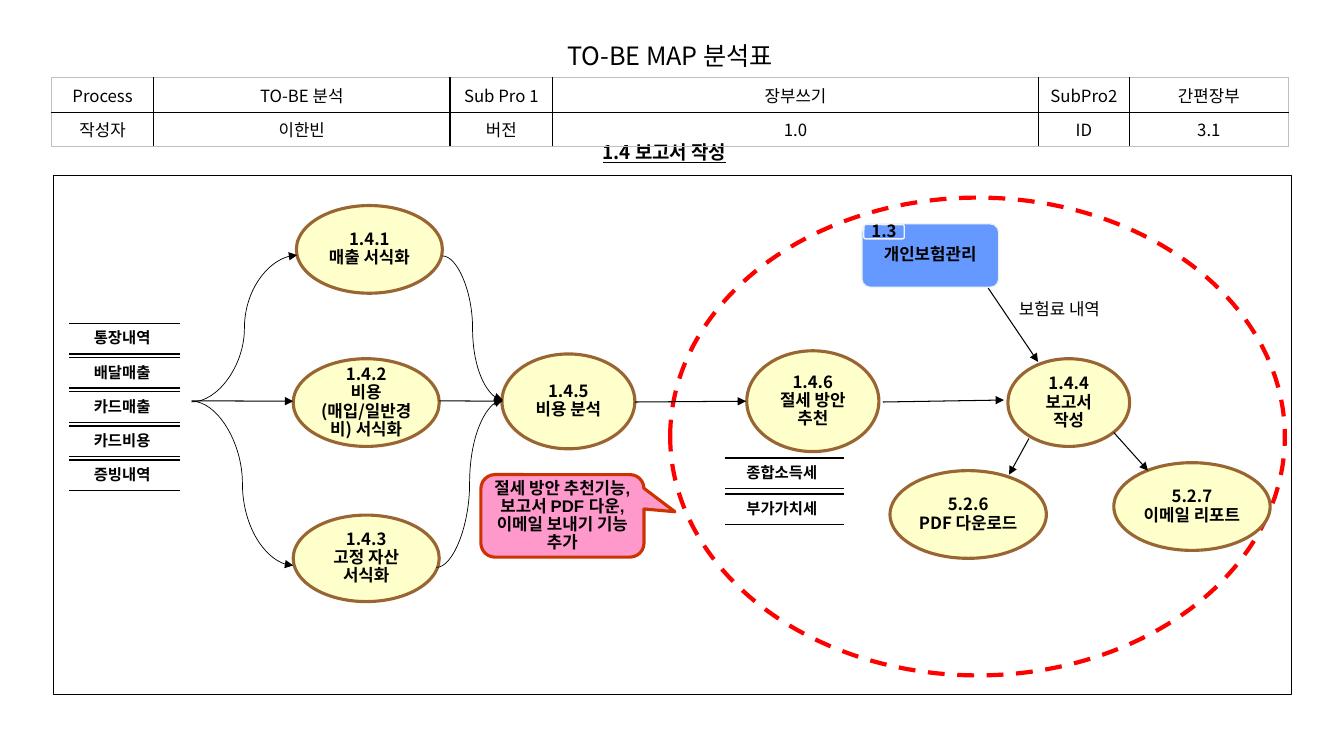
import dataclasses

import pptx
import pptx.dml.color
import pptx.enum.dml
import pptx.enum.shapes
import pptx.enum.text
import pptx.oxml.ns
import pptx.util
from lxml import etree

Cm, Pt = pptx.util.Cm, pptx.util.Pt
qn = pptx.oxml.ns.qn
rgb = pptx.dml.color.RGBColor.from_string
SHAPE = pptx.enum.shapes.MSO_SHAPE
LINK = pptx.enum.shapes.MSO_CONNECTOR
ALIGN = pptx.enum.text.PP_ALIGN
MIDDLE = pptx.enum.text.MSO_ANCHOR.MIDDLE
TOP = pptx.enum.text.MSO_ANCHOR.TOP


@dataclasses.dataclass(frozen=True)
class Theme:
    font: str = "Noto Sans CJK KR"
    callout_font: str = "Arial"
    black: str = "000000"
    white: str = "FFFFFF"
    grid_edge: str = "BFBFBF"
    step_fill: str = "FFFFCC"
    step_line: str = "996633"
    scope_line: str = "FF0000"
    callout_fill: str = "FF99CC"
    callout_line: str = "CC3300"
    module_fill: str = "6699FF"
    module_line: str = "F1F2F2"
    heading: float = 18
    title: float = 13.5
    body: float = 12
    store: float = 11


T = Theme()

INFO = [["Process", "TO-BE 분석", "Sub Pro 1", "장부쓰기", "SubPro2", "간편장부"],
        ["작성자", "이한빈", "버전", "1.0", "ID", "3.1"]]
INFO_WIDTHS = [2.57, 7.47, 2.59, 12.24, 2.29, 4.01]

STEPS = [("1.4.1\n매출 서식화", 7.47, 5.18, 3.68, 2.21),
         ("1.4.2\n비용(매입/일반경비) 서식화", 7.39, 9.04, 3.68, 2.21),
         ("1.4.3\n고정 자산 서식화", 7.39, 12.98, 3.68, 2.18),
         ("1.4.5\n비용 분석", 12.65, 8.92, 3.35, 2.39),
         ("1.4.6\n절세 방안 추천", 18.82, 8.84, 3.33, 2.54),
         ("1.4.4\n보고서\n작성", 25.4, 9.04, 3.07, 2.21),
         ("5.2.6\nPDF 다운로드", 22.43, 11.86, 3.94, 2.21),
         ("5.2.7\n이메일 리포트", 28.07, 11.66, 3.94, 2.21)]

STRAIGHT_FLOWS = [(4.83, 10.1, 7.39, 10.11), (11.07, 10.1, 12.67, 10.11),
                  (16, 10.13, 18.8, 10.11), (22.25, 10.13, 25.3, 10.08),
                  (25.93, 11.05, 25.43, 11.96), (28.07, 10.9, 28.93, 11.86),
                  (24.87, 7.21, 26.16, 9.12)]
CURVED_FLOWS = [(4.83, 10.11, 7.39, 14.25), (4.83, 10.13, 7.49, 6.43),
                (11.15, 6.45, 12.67, 10.08), (11, 14.3, 12.67, 10.08)]


def write(tf, text, size=T.body, bold=True, font=T.font, spacing=0.9,
          align=ALIGN.CENTER, underline=None):
    tf.text = text
    for p in tf.paragraphs:
        p.alignment = align
        p.line_spacing = spacing
        f = p.font
        f.size, f.bold, f.underline, f.name = Pt(size), bold, underline, font
        f.color.rgb = rgb(T.black)
        props = p._p.get_or_add_pPr().find(qn("a:defRPr"))
        etree.SubElement(props, qn("a:ea")).set("typeface", T.font)


def frame_text(tf, x=0, y=0, anchor=MIDDLE, wrap=True):
    tf.margin_left = tf.margin_right = Cm(x)
    tf.margin_top = tf.margin_bottom = Cm(y)
    tf.vertical_anchor, tf.word_wrap = anchor, wrap


def add_block(slide, kind, box, fill, line, width, text="", adj=(),
              margins=(0, 0), wrap=True, font=T.font):
    sp = slide.shapes.add_shape(kind, *map(Cm, box))
    sp.shadow.inherit = False
    if fill:
        sp.fill.solid()
        sp.fill.fore_color.rgb = rgb(fill)
    else:
        sp.fill.background()
    sp.line.color.rgb = rgb(line)
    sp.line.width = Pt(width)
    for i, value in enumerate(adj):
        sp.adjustments[i] = value
    if text:
        frame_text(sp.text_frame, *margins, wrap=wrap)
        write(sp.text_frame, text, font=font)
    return sp


def add_line(slide, ends, width, kind=LINK.STRAIGHT, arrow=False):
    cx = slide.shapes.add_connector(kind, *map(Cm, ends))
    cx.line.color.rgb = rgb(T.black)
    cx.line.width = Pt(width)
    if arrow:
        etree.SubElement(cx.line._ln, qn("a:tailEnd")).set("type", "triangle")
    etree.SubElement(cx._element.spPr, qn("a:effectLst"))


def add_label(slide, box, text, margins, **style):
    tb = slide.shapes.add_textbox(*map(Cm, box))
    frame_text(tb.text_frame, *margins, anchor=TOP)
    write(tb.text_frame, text, **style)


def add_stores(slide, left, top, width, pitch, names):
    """Data stores: a name between two rules."""
    for i, name in enumerate(names):
        y = top + i * pitch
        for rule in (y, y + 0.77):
            add_line(slide, (left, rule, left + width, rule), 1)
        add_label(slide, (left, y, width - 0.13, 0.84), name, (0.33, 0.18),
                  size=T.store)


def set_border(cell, side, color, width):
    ln = etree.SubElement(cell._tc.get_or_add_tcPr(), qn("a:ln" + side))
    ln.set("w", str(Pt(width)))
    fill = etree.SubElement(ln, qn("a:solidFill"))
    etree.SubElement(fill, qn("a:srgbClr")).set("val", color)


def add_grid(slide, left, top, widths, row_height, rows, size, edge, inner):
    n, m = len(rows), len(widths)
    tbl = slide.shapes.add_table(n, m, Cm(left), Cm(top), Cm(sum(widths)),
                                 Cm(n * row_height)).table
    tbl.first_row = tbl.horz_banding = False
    for col, width in zip(tbl.columns, widths):
        col.width = Cm(width)
    for i, row in enumerate(rows):
        tbl.rows[i].height = Cm(row_height)
        for j, text in enumerate(row):
            cell = tbl.cell(i, j)
            outer = {"L": j == 0, "R": j == m - 1, "T": i == 0, "B": i == n - 1}
            for side, is_edge in outer.items():
                set_border(cell, side, edge if is_edge else inner, 1)
            cell.fill.background()
            write(cell.text_frame, text, size, bold=False, spacing=1.0)


def add_title(slide, box, text):
    sp = slide.shapes.title
    sp.left, sp.top, sp.width, sp.height = map(Cm, box)
    frame_text(sp.text_frame, 0.3, 0.15, wrap=False)
    write(sp.text_frame, text, T.title, spacing=1.0, underline=True)


def main():
    prs = pptx.Presentation()
    prs.slide_width, prs.slide_height = Cm(33.87), Cm(19.05)
    slide = prs.slides.add_slide(prs.slide_layouts[5])

    # Headings and document details
    add_title(slide, (4.04, 3.45, 25.4, 0.76), "1.4 보고서 작성")
    add_grid(slide, 7.72, 0.79, [18.34], 1.02, [["TO-BE MAP 분석표"]],
             T.heading, T.white, T.white)
    add_grid(slide, 1.3, 1.96, INFO_WIDTHS, 0.87, INFO,
             T.body, T.grid_edge, T.black)

    # Diagram frame and highlighted scope
    add_block(slide, SHAPE.RECTANGLE, (1.35, 4.42, 31.19, 13.08),
              None, T.black, 0.75)
    scope = add_block(slide, SHAPE.OVAL, (16.89, 4.98, 15.49, 12.04),
                      None, T.scope_line, 3)
    scope.line.dash_style = pptx.enum.dml.MSO_LINE.DASH

    # Process steps
    for text, *box in STEPS:
        add_block(slide, SHAPE.OVAL, box, T.step_fill, T.step_line, 2.25, text)

    # Data stores
    add_stores(slide, 1.75, 8.15, 2.79, 0.86,
               ["통장내역", "배달매출", "카드매출", "카드비용", "증빙내역"])
    add_stores(slide, 18.27, 11.54, 3, 0.91, ["종합소득세", "부가가치세"])

    # Flows
    for ends in STRAIGHT_FLOWS:
        add_line(slide, ends, 0.75, arrow=True)
    for ends in CURVED_FLOWS:
        add_line(slide, ends, 0.5, LINK.CURVE, arrow=True)

    # Callout, linked module and flow label
    add_block(slide, SHAPE.ROUNDED_RECTANGULAR_CALLOUT,
              (12.12, 11.96, 4.11, 2.08), T.callout_fill, T.callout_line, 2.25,
              "절세 방안 추천기능, 보고서 PDF 다운, 이메일 보내기 기능 추가",
              adj=(0.69, -0.05, 0.17), font=T.callout_font)
    add_block(slide, SHAPE.ROUNDED_RECTANGLE, (21.72, 5.64, 3.45, 1.6),
              T.module_fill, T.module_line, 1, "개인보험관리",
              adj=[0.13], margins=(0.1, 0.1))
    add_block(slide, SHAPE.ROUNDED_RECTANGLE, (21.77, 5.66, 1.02, 0.36),
              T.module_fill, T.module_line, 1, "1.3",
              adj=[0.13], margins=(0.2, 0.1), wrap=False)
    add_label(slide, (25.43, 7.39, 3.63, 0.76), "보험료 내역", (0.25, 0.13),
              bold=False, spacing=1.0, align=ALIGN.LEFT)

    prs.save("out.pptx")


if __name__ == "__main__":
    main()
